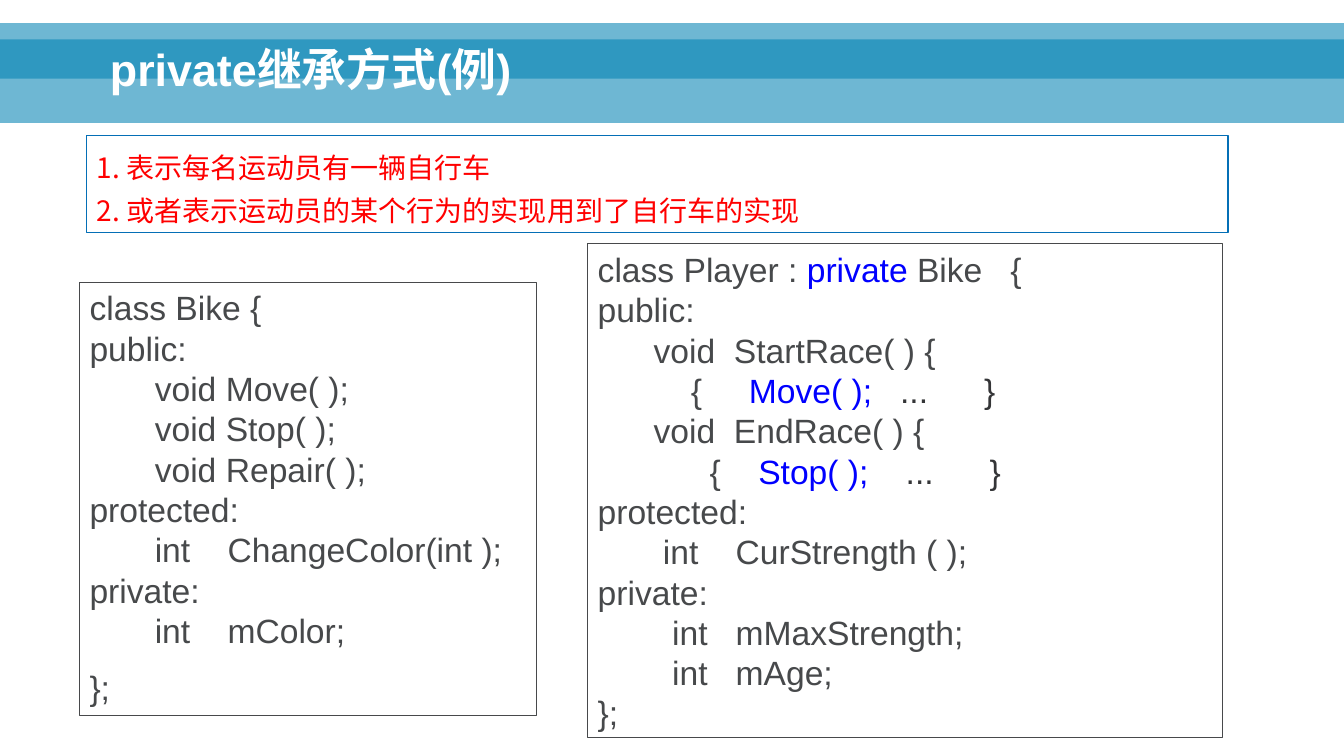
from lxml.etree import SubElement
from pptx import Presentation
from pptx.dml.color import RGBColor
from pptx.enum.shapes import MSO_SHAPE as Shape
from pptx.enum.text import MSO_ANCHOR as Anchor, MSO_AUTO_SIZE as AutoSize, PP_ALIGN as Align
from pptx.oxml.ns import qn
from pptx.util import Inches, Pt

CODE, BLUE, DARK, RED = "47494B", "0000FF", "343537", "FF0000"
CJK = "Noto Sans CJK SC"


def paint(color_format, value):
    color_format.rgb = RGBColor.from_string(value)


def add_span(para, text, size, color, font="Arial", bold=False):
    span = para.add_run()
    span.text = text
    span.font.size = Pt(size)
    span.font.name = font
    span.font.bold = bold
    paint(span.font.color, color)
    SubElement(span.font._element, qn("a:ea"), typeface=CJK)


deck = Presentation()
deck.slide_width = Inches(13.33)
deck.slide_height = Inches(7.5)
page = deck.slides.add_slide(deck.slide_layouts[5])

for top, height in [(0.39, 0.83), (0.23, 0.55)]:
    band = page.shapes.add_shape(Shape.RECTANGLE, 0, Inches(top), deck.slide_width, Inches(height))
    band.shadow.inherit = False
    band.line.fill.background()
    band.fill.solid()
    paint(band.fill.fore_color, "0082B3")
    band_color = band._element.spPr.find(".//" + qn("a:srgbClr"))
    SubElement(band_color, qn("a:alpha"), val="57000")

title = page.shapes.title
title.left, title.top = Inches(0.99), Inches(0.22)
title.width, title.height = Inches(11.5), Inches(0.78)
title.text_frame.auto_size = AutoSize.NONE
title.text_frame.vertical_anchor = Anchor.BOTTOM
title_para = title.text_frame.paragraphs[0]
title_para.alignment = Align.LEFT
title_para.line_spacing = 0.9
add_span(title_para, "private继承方式(例)", 32, "FFFFFF", bold=True)
page.shapes._spTree.append(title._element)

bike_lines = [
    [("class Bike {", CODE)],
    [("public:", CODE)],
    [("       void Move( );", CODE)],
    [("       void Stop( );", CODE)],
    [("       void Repair( );", CODE)],
    [("protected:", CODE)],
    [("       int    ChangeColor(int );", CODE)],
    [("private:", CODE)],
    [("       int    mColor;", CODE)],
    [("};", CODE)],
]
player_lines = [
    [("class Player : ", CODE), ("private ", BLUE), ("Bike   {", CODE)],
    [("public:", CODE)],
    [("      void  StartRace( ) {", CODE)],
    [("          {     ", CODE), ("Move( );", BLUE), ("   ...      }", DARK)],
    [("      void  EndRace( ) {", CODE)],
    [("            {    ", CODE), ("Stop( );", BLUE), ("    ...      }", DARK)],
    [("protected:", CODE)],
    [("       int    CurStrength ( );", CODE)],
    [("private:", CODE)],
    [("        int   mMaxStrength;", CODE)],
    [("        int   mAge;", CODE)],
    [("};", CODE)],
]
note_lines = [
    [("1. 表示每名运动员有一辆自行车", RED)],
    [("2. 或者表示运动员的某个行为的实现用到了自行车的实现", RED)],
]

panels = [
    ((0.79, 2.8, 4.53, 4.3), bike_lines, CODE, 24, "Arial", 1.0, 12),
    ((5.83, 2.42, 6.3, 4.9), player_lines, CODE, 24, "Arial", 1.0, 0),
    ((0.86, 1.34, 11.32, 0.97), note_lines, "046FB6", 20, CJK, 1.3, 0),
]
for bounds, lines, border, size, font, spacing, last_gap in panels:
    box = page.shapes.add_shape(Shape.RECTANGLE, *map(Inches, bounds))
    box.shadow.inherit = False
    box.fill.background()
    box.line.width = Pt(0.75)
    paint(box.line.color, border)
    frame = box.text_frame
    frame.word_wrap = True
    frame.vertical_anchor = Anchor.TOP
    for index, line in enumerate(lines):
        para = frame.add_paragraph() if index else frame.paragraphs[0]
        para.alignment = Align.LEFT
        para.line_spacing = spacing
        para.space_before = Pt(0)
        for text, color in line:
            add_span(para, text, size, color, font)
    para.space_before = Pt(last_gap)

deck.save("out.pptx")
